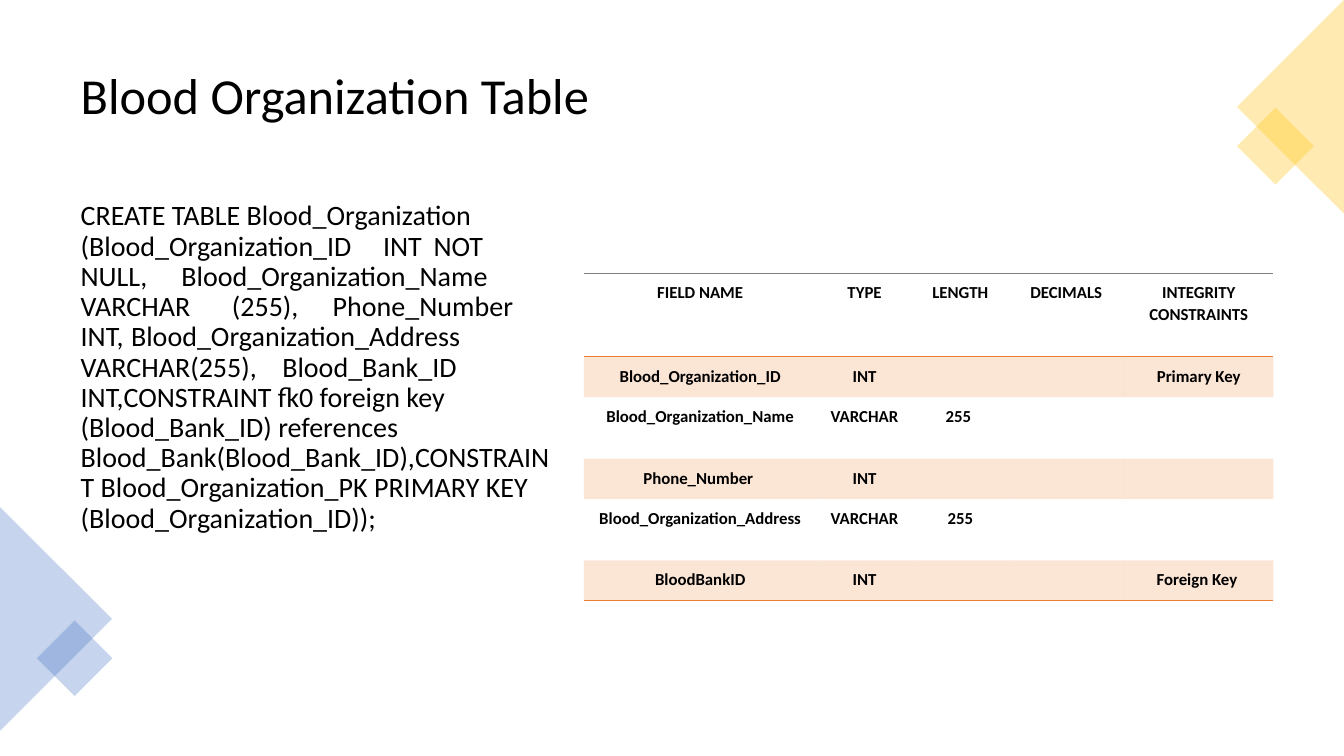
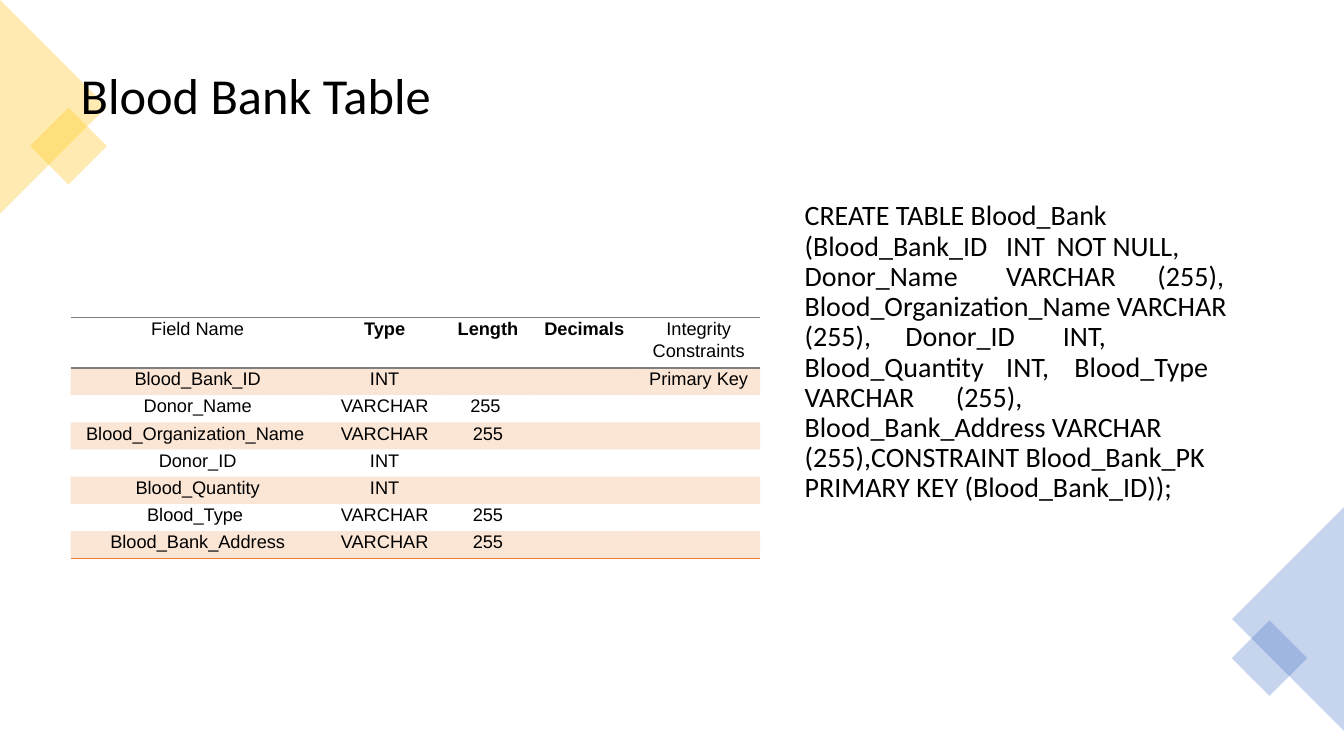
import collections

import lxml.etree
import pptx
import pptx.dml.color
import pptx.enum.shapes
import pptx.enum.text
import pptx.oxml.ns
import pptx.util

RGBColor = pptx.dml.color.RGBColor
Pt = pptx.util.Pt
qn = pptx.oxml.ns.qn
Box = collections.namedtuple("Box", "left top width height")
Corner = collections.namedtuple("Corner", "colour top depth diamond across down")
TableStyle = collections.namedtuple(
    "TableStyle", "font size pad_x pad_y header_rule is_bold")

PX = 9144
SLIDE_WIDTH, SLIDE_HEIGHT = 1333, 750
TITLE_BOX = Box(70, 35, 1193, 124)
BLACK = RGBColor(0x00, 0x00, 0x00)
GRAY = RGBColor(0x7F, 0x7F, 0x7F)
ORANGE = RGBColor(0xED, 0x7D, 0x31)
BLUE = RGBColor(0x44, 0x72, 0xC4)
GOLD = RGBColor(0xFF, 0xC0, 0x00)
GOLD_CORNER = Corner(GOLD, 0, 106, 54, 68, 145)
BLUE_CORNER = Corner(BLUE, 503, 111, 53, 74, 150)
PLAIN_TABLE = "{2D5ABB26-0587-4C30-8999-92F81FD0307C}"

ORGANIZATION_SQL = (
    "CREATE TABLE Blood_Organization\t(Blood_Organization_ID\tINT\tNOT NULL,"
    "\tBlood_Organization_Name\tVARCHAR\t(255),\tPhone_Number INT,"
    "\tBlood_Organization_Address\t VARCHAR(255),\tBlood_Bank_ID"
    "\tINT,CONSTRAINT fk0 foreign key (Blood_Bank_ID) references "
    "Blood_Bank(Blood_Bank_ID),CONSTRAINT Blood_Organization_PK PRIMARY KEY "
    "(Blood_Organization_ID));")
BANK_SQL = (
    "CREATE TABLE Blood_Bank\t(Blood_Bank_ID\tINT\tNOT NULL,\tDonor_Name"
    "\tVARCHAR\t(255),\tBlood_Organization_Name VARCHAR\t(255),\tDonor_ID"
    "\t INT,\tBlood_Quantity\tINT,    Blood_Type VARCHAR\t(255),    "
    "Blood_Bank_Address VARCHAR\t(255),CONSTRAINT Blood_Bank_PK PRIMARY KEY "
    "(Blood_Bank_ID));")
ORGANIZATION_FIELDS = [
    ("FIELD NAME", "TYPE", "LENGTH", "DECIMALS", "INTEGRITY CONSTRAINTS"),
    ("Blood_Organization_ID", "INT", "", "", "Primary Key"),
    ("Blood_Organization_Name", "VARCHAR", "255 ", "", ""),
    ("Phone_Number ", "INT", "", "", ""),
    ("Blood_Organization_Address", "VARCHAR", "255", "", ""),
    ("BloodBankID", "INT", "", "", "Foreign Key "),
]
BANK_FIELDS = [
    ("Field Name", "Type", "Length", "Decimals", "Integrity Constraints"),
    ("Blood_Bank_ID", "INT", "", "", "Primary Key"),
    ("Donor_Name", "VARCHAR", "255 ", "", ""),
    ("Blood_Organization_Name ", "VARCHAR", "255", "", ""),
    ("Donor_ID", "INT", "", "", ""),
    ("Blood_Quantity", "INT", "", "", ""),
    ("Blood_Type ", "VARCHAR", "255", "", ""),
    ("Blood_Bank_Address", "VARCHAR", "255", "", ""),
]
ORGANIZATION_STYLE = TableStyle(
    "Calibri", 12, 8, 8, ORANGE, lambda row, column: True)
BANK_STYLE = TableStyle(
    "Arial", 13, 9, 0, GRAY, lambda row, column: row == 0 and 1 <= column <= 3)


def emu(box):
    return [length * PX for length in box]


def centred(x, y, width, height):
    return Box(x - width / 2, y - height / 2, width, height)


def fill_translucent(fill, element, colour, percent):
    fill.solid()
    fill.fore_color.rgb = colour
    srgb = element.find(".//" + qn("a:solidFill") + "/" + qn("a:srgbClr"))
    lxml.etree.SubElement(srgb, qn("a:alpha"), val=str(percent * 1000))


def format_runs(paragraph, font, size, bold=False):
    for run in paragraph.runs:
        run.font.name = font
        run.font.size = Pt(size)
        run.font.bold = bold
        run.font.color.rgb = BLACK


def place_placeholder(placeholder, box, text, size):
    placeholder.left, placeholder.top, placeholder.width, placeholder.height = (
        int(length) for length in emu(box))
    frame = placeholder.text_frame
    frame.text = text
    frame.word_wrap = True
    frame.auto_size = pptx.enum.text.MSO_AUTO_SIZE.NONE
    paragraph = frame.paragraphs[0]
    paragraph.alignment = pptx.enum.text.PP_ALIGN.LEFT
    paragraph.line_spacing = 0.9
    paragraph.space_before = Pt(0)
    format_runs(paragraph, "Calibri", size)
    return frame


def place_title(slide, box, text):
    frame = place_placeholder(slide.shapes.title, box, text, 36)
    frame.vertical_anchor = pptx.enum.text.MSO_ANCHOR.MIDDLE


def place_sql(slide, box, text):
    frame = place_placeholder(slide.placeholders[1], box, text, 20)
    frame.vertical_anchor = pptx.enum.text.MSO_ANCHOR.TOP
    paragraph = frame.paragraphs[0]
    paragraph.space_after = Pt(6)
    properties = paragraph._p.get_or_add_pPr()
    properties.set("marL", "0")
    properties.set("indent", "0")
    lxml.etree.SubElement(properties, qn("a:buNone"))
    tabs = lxml.etree.SubElement(properties, qn("a:tabLst"))
    for inch in range(1, 5):
        lxml.etree.SubElement(
            tabs, qn("a:tab"), pos=str(inch * 100 * PX), algn="l")


def place_corner(slide, corner, on_right):
    def from_edge(distance):
        return SLIDE_WIDTH - distance if on_right else distance

    shape_types = pptx.enum.shapes.MSO_SHAPE
    group = slide.shapes.add_group_shape()
    triangle_box = centred(from_edge(corner.depth / 2), corner.top + corner.depth,
                           2 * corner.depth, corner.depth)
    diamond_box = centred(from_edge(corner.across), corner.top + corner.down,
                          corner.diamond, corner.diamond)
    for preset, box, rotation in (
            (shape_types.ISOSCELES_TRIANGLE, triangle_box, 270 if on_right else 90),
            (shape_types.RECTANGLE, diamond_box, 45)):
        part = group.shapes.add_shape(preset, *(int(v) for v in emu(box)))
        part.rotation = rotation
        part.shadow.inherit = False
        part.line.fill.background()
        fill_translucent(part.fill, part.element, corner.colour, 30)
    slide.shapes.title.element.addprevious(group.element)


def add_rule(properties, side, colour, points):
    line = lxml.etree.SubElement(properties, qn("a:" + side), w=str(Pt(points)))
    solid = lxml.etree.SubElement(line, qn("a:solidFill"))
    lxml.etree.SubElement(solid, qn("a:srgbClr"), val=str(colour))


def format_cell(cell, text, style, bold):
    cell.margin_left = cell.margin_right = style.pad_x * PX
    cell.margin_top = cell.margin_bottom = style.pad_y * PX
    cell.text_frame.text = text
    paragraph = cell.text_frame.paragraphs[0]
    paragraph.alignment = pptx.enum.text.PP_ALIGN.CENTER
    paragraph.line_spacing = 1.07
    format_runs(paragraph, style.font, style.size, bold)
    if not text:
        lxml.etree.SubElement(
            paragraph._p, qn("a:endParaRPr"), sz=str(style.size * 100))


def place_field_table(slide, left, top, widths, heights, fields, style):
    box = Box(left, top, sum(widths), sum(heights))
    frame = slide.shapes.add_table(len(heights), len(widths), *emu(box))
    table = frame.table
    table.first_row = table.horz_banding = False
    frame.element.find(".//" + qn("a:tableStyleId")).text = PLAIN_TABLE
    for column, width in zip(table.columns, widths):
        column.width = width * PX
    for row, height in zip(table.rows, heights):
        row.height = height * PX
    for r, record in enumerate(fields):
        for c, text in enumerate(record):
            cell = table.cell(r, c)
            format_cell(cell, text, style, style.is_bold(r, c))
            properties = cell._tc.get_or_add_tcPr()
            if r == 0:
                add_rule(properties, "lnT", GRAY, 1)
                add_rule(properties, "lnB", style.header_rule, 1)
            elif r == len(fields) - 1:
                add_rule(properties, "lnB", ORANGE, 1)
            if r % 2:
                cell.fill.solid()
                cell.fill.fore_color.rgb = ORANGE
                srgb = properties.find(qn("a:solidFill") + "/" + qn("a:srgbClr"))
                lxml.etree.SubElement(srgb, qn("a:alpha"), val="20000")
            else:
                cell.fill.background()


def add_schema_slide(presentation, title, sql_box, sql, gold_on_right):
    slide = presentation.slides.add_slide(presentation.slide_layouts[1])
    place_corner(slide, GOLD_CORNER, gold_on_right)
    place_corner(slide, BLUE_CORNER, not gold_on_right)
    place_title(slide, TITLE_BOX, title)
    place_sql(slide, sql_box, sql)
    return slide


def main():
    presentation = pptx.Presentation()
    presentation.slide_width = SLIDE_WIDTH * PX
    presentation.slide_height = SLIDE_HEIGHT * PX

    organization = add_schema_slide(
        presentation, "Blood Organization Table", Box(70, 195, 488, 481),
        ORGANIZATION_SQL, gold_on_right=True)
    place_field_table(
        organization, 579, 271, [231, 95, 95, 115, 148],
        [83, 40, 61, 40, 61, 40], ORGANIZATION_FIELDS, ORGANIZATION_STYLE)

    bank = add_schema_slide(
        presentation, "Blood Bank Table", Box(788, 195, 493, 481),
        BANK_SQL, gold_on_right=False)
    place_field_table(
        bank, 70, 315, [252, 119, 86, 105, 122],
        [50] + [27] * 7, BANK_FIELDS, BANK_STYLE)

    presentation.save("out.pptx")


if __name__ == "__main__":
    main()
